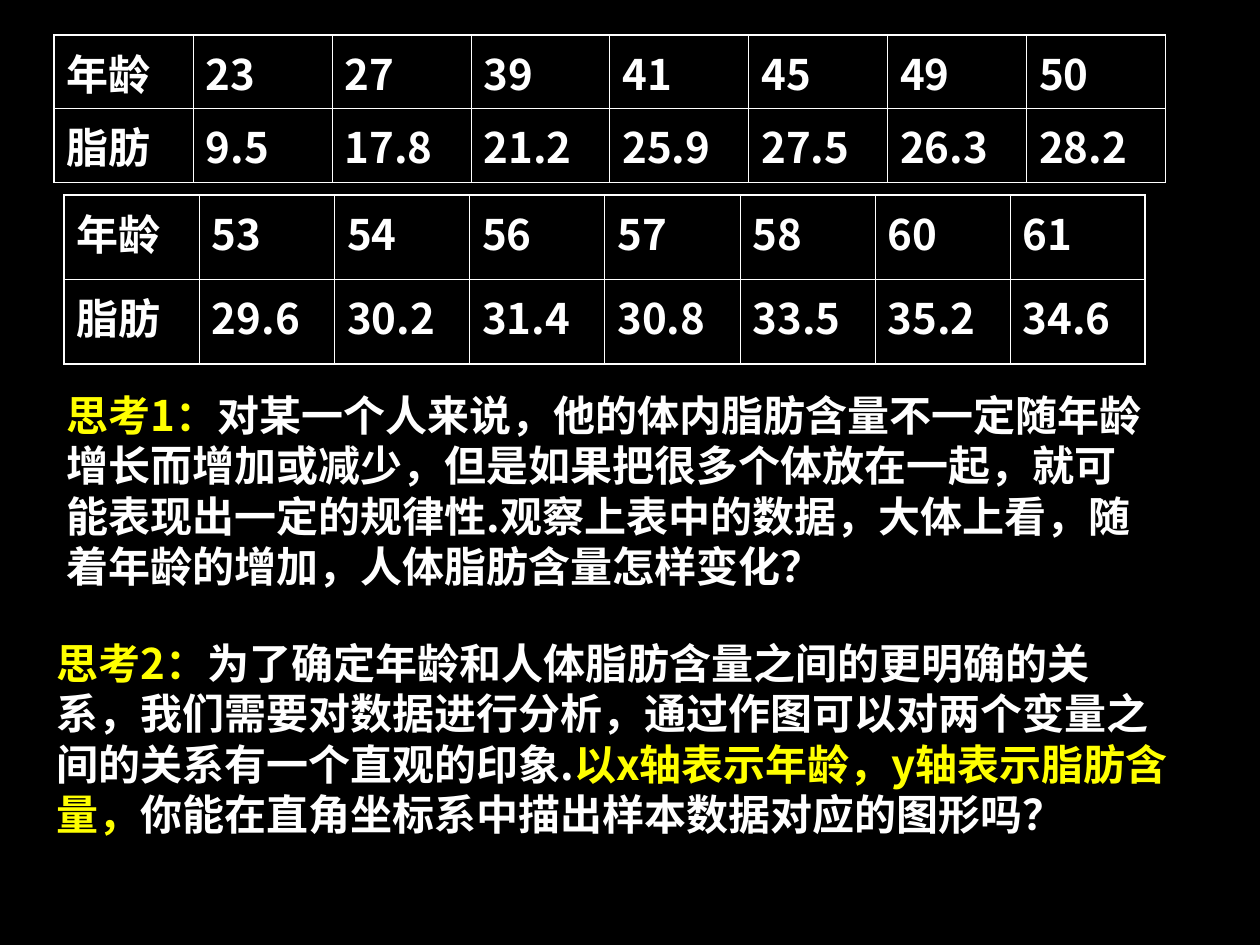
from dataclasses import dataclass

from lxml.etree import SubElement
from pptx import Presentation
from pptx.dml.color import RGBColor
from pptx.enum.text import MSO_AUTO_SIZE
from pptx.oxml.ns import qn
from pptx.util import Inches, Pt


@dataclass(frozen=True)
class Theme:
    """Colours, font, type size and border widths of the slide."""
    background: str = "000000"
    body: str = "FFFFFF"
    emphasis: str = "FFFF00"
    font: str = "Noto Sans CJK SC"
    size: float = 24
    outer_border: float = 1.08
    inner_border: float = 0.45


THEME = Theme()

SAMPLES = [
    {
        "frame": (0.43, 0.28, 8.82, 1.1),
        "rows": [
            ["年龄", "23", "27", "39", "41", "45", "49", "50"],
            ["脂肪", "9.5", "17.8", "21.2", "25.9", "27.5", "26.3", "28.2"],
        ],
    },
    {
        "frame": (0.51, 1.55, 8.58, 1.34),
        "rows": [
            ["年龄", "53", "54", "56", "57", "58", "60", "61"],
            ["脂肪", "29.6", "30.2", "31.4", "30.8", "33.5", "35.2", "34.6"],
        ],
    },
]

QUESTIONS = [
    {
        "frame": (0.43, 3.04, 8.74, 1.7),
        "passages": [
            ("思考1：", THEME.emphasis),
            ("对某一个人来说，他的体内脂肪含量不一定随年龄增长而增加或减少，"
             "但是如果把很多个体放在一起，就可能表现出一定的规律性."
             "观察上表中的数据，大体上看，随着年龄的增加，人体脂肪含量怎样变化？", THEME.body),
        ],
    },
    {
        "frame": (0.35, 5.01, 9.02, 1.7),
        "passages": [
            ("思考2：", THEME.emphasis),
            ("为了确定年龄和人体脂肪含量之间的更明确的关系，我们需要对数据进行分析，"
             "通过作图可以对两个变量之间的关系有一个直观的印象.", THEME.body),
            ("以x轴表示年龄，y轴表示脂肪含量，", THEME.emphasis),
            ("你能在直角坐标系中描出样本数据对应的图形吗？", THEME.body),
        ],
    },
]


def apply_format(target, values):
    """Set each attribute in values on target."""
    for name, value in values.items():
        setattr(target, name, value)


def add_passage(paragraph, wording, color):
    """Add a bold run in the theme font, for Latin and East Asian text."""
    run = paragraph.add_run()
    run.text = wording
    apply_format(run.font, {"name": THEME.font, "size": Pt(THEME.size), "bold": True})
    run.font.color.rgb = RGBColor.from_string(color)
    SubElement(run.font._element, qn("a:ea"), typeface=THEME.font)


def add_borders(cell, outer_sides):
    """Draw the four cell borders, heavier on the outer sides."""
    properties = cell._tc.get_or_add_tcPr()
    for side in "LRTB":
        width = THEME.outer_border if side in outer_sides else THEME.inner_border
        line = SubElement(properties, qn(f"a:ln{side}"), w=str(Pt(width)))
        fill = SubElement(line, qn("a:solidFill"))
        SubElement(fill, qn("a:srgbClr"), val=THEME.body)


def add_sample_table(slide, frame, rows):
    """Add a table of ages and fat contents with equal columns and rows."""
    last_row, last_column = len(rows) - 1, len(rows[0]) - 1
    table = slide.shapes.add_table(
        len(rows), len(rows[0]), *map(Inches, frame)).table
    apply_format(table, {"first_row": False, "horz_banding": False})
    for row, values in enumerate(rows):
        for column, value in enumerate(values):
            cell = table.cell(row, column)
            edges = {"L": column == 0, "R": column == last_column,
                     "T": row == 0, "B": row == last_row}
            add_borders(cell, [side for side, outer in edges.items() if outer])
            cell.fill.background()
            add_passage(cell.text_frame.paragraphs[0], value, THEME.body)


def add_question(slide, frame, passages):
    """Add a wrapped question whose punctuation stays inside the margin."""
    text_frame = slide.shapes.add_textbox(*map(Inches, frame)).text_frame
    apply_format(text_frame, {
        "word_wrap": True, "auto_size": MSO_AUTO_SIZE.SHAPE_TO_FIT_TEXT,
    })
    paragraph = text_frame.paragraphs[0]
    paragraph._p.get_or_add_pPr().set("hangingPunct", "0")
    for wording, color in passages:
        add_passage(paragraph, wording, color)


def main():
    """Build the slide and save it."""
    presentation = Presentation()
    apply_format(presentation, {"slide_width": Inches(10), "slide_height": Inches(7.5)})
    slide = presentation.slides.add_slide(presentation.slide_layouts[6])
    slide.background.fill.solid()
    slide.background.fill.fore_color.rgb = RGBColor.from_string(THEME.background)
    for sample in SAMPLES:
        add_sample_table(slide, **sample)
    for question in QUESTIONS:
        add_question(slide, **question)
    presentation.save("out.pptx")


if __name__ == "__main__":
    main()
